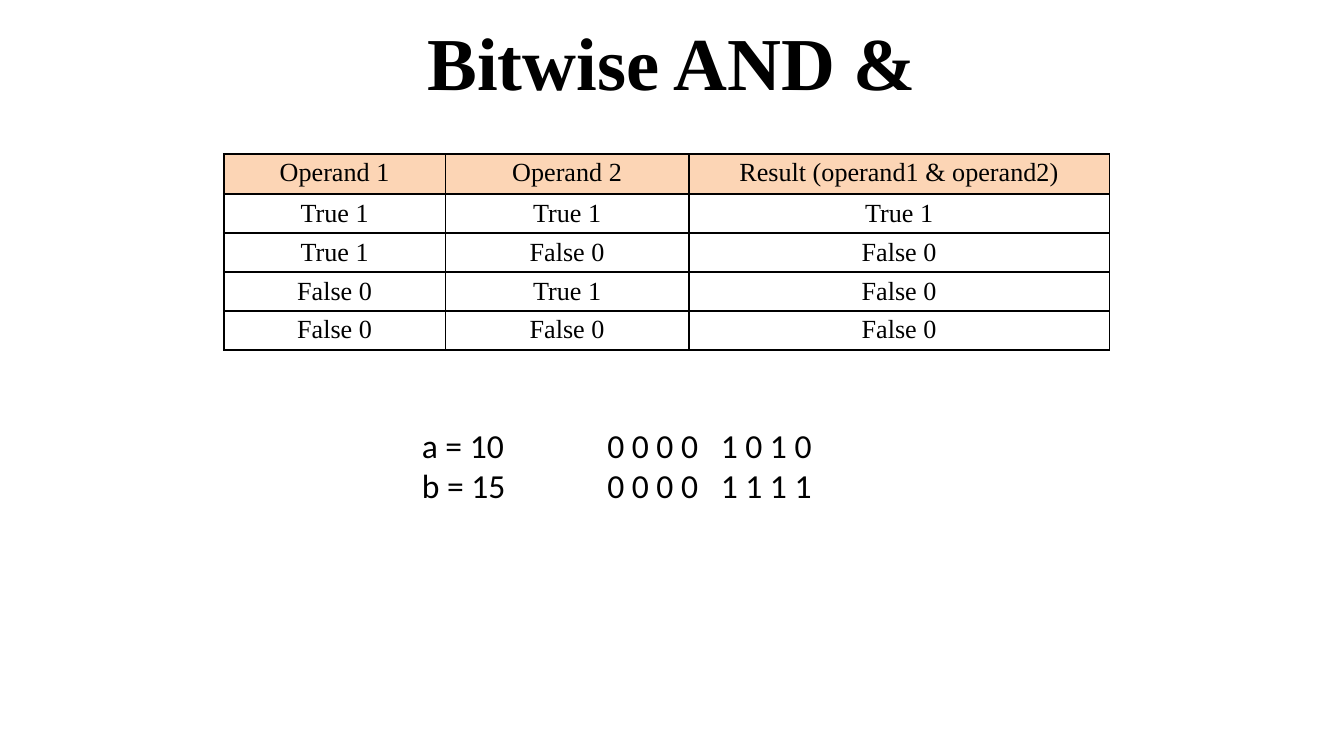
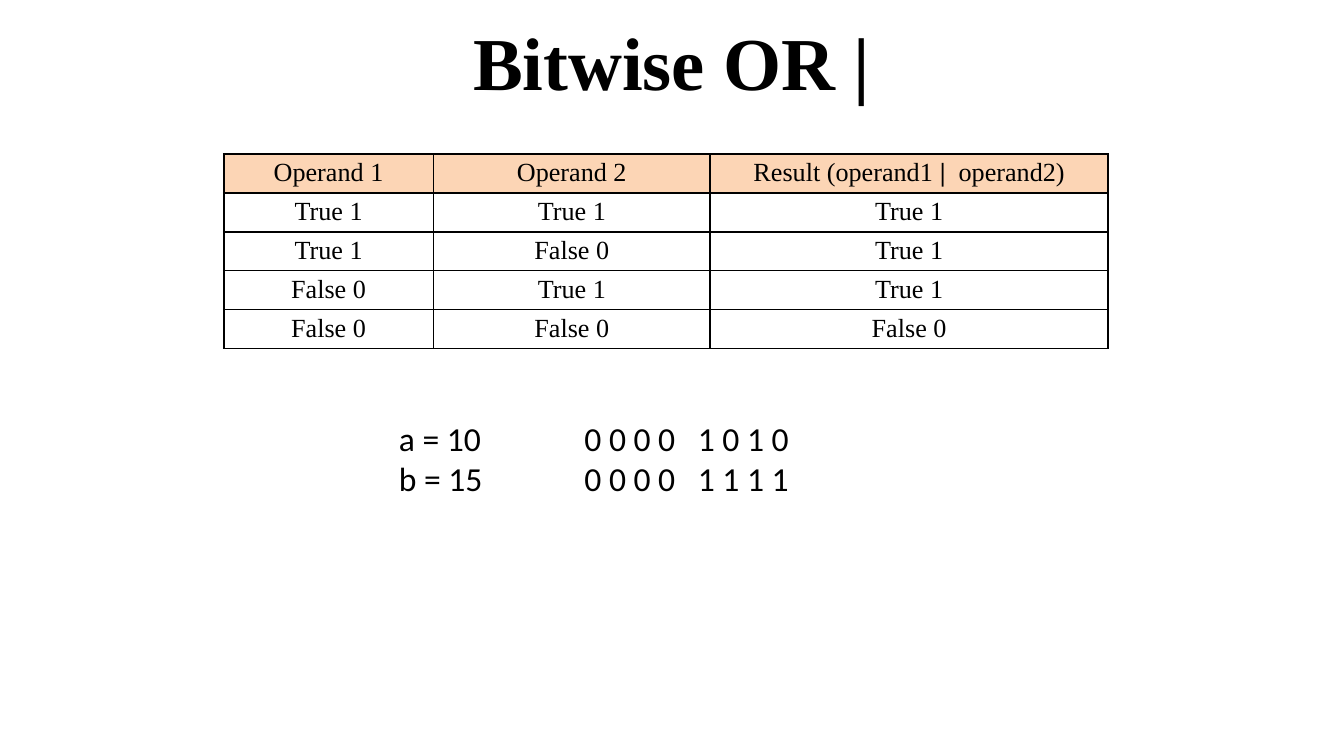
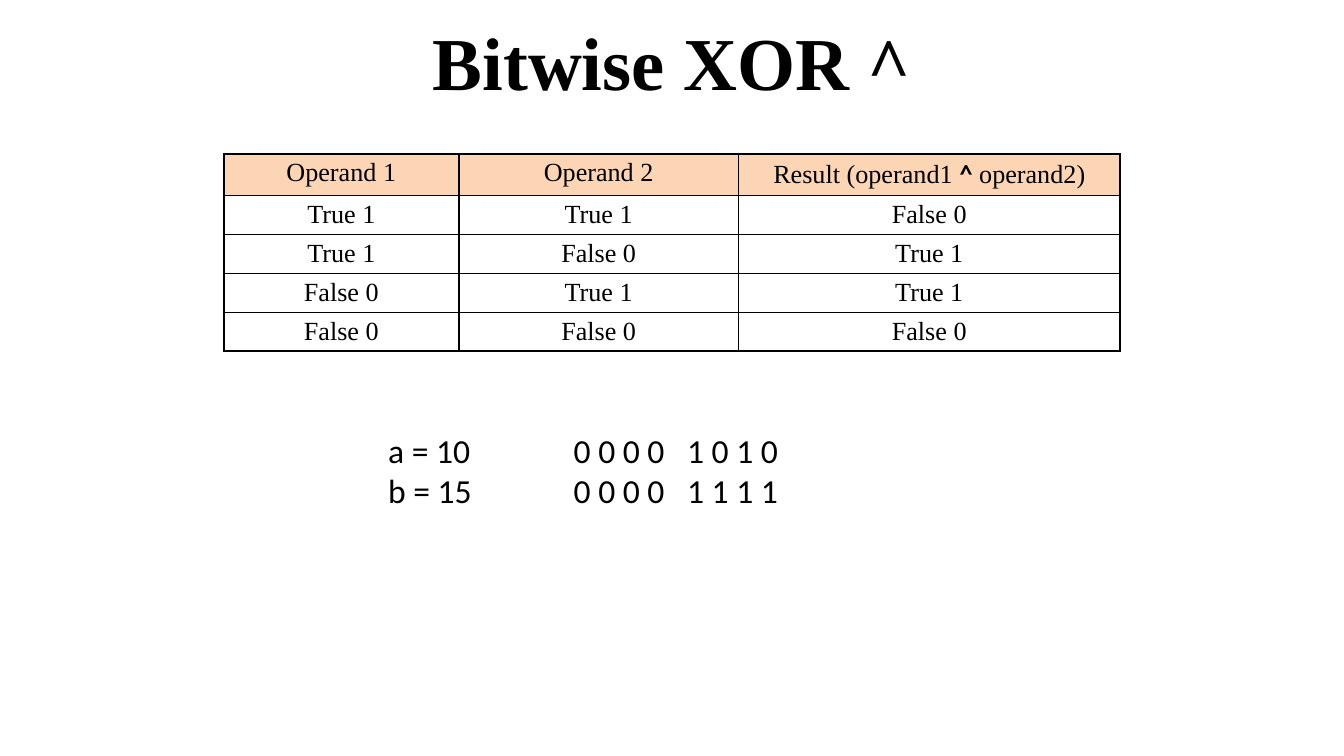
from dataclasses import dataclass
from itertools import product

from lxml import etree
from pptx import Presentation
from pptx.dml.color import RGBColor
from pptx.enum.text import MSO_ANCHOR, MSO_AUTO_SIZE, PP_ALIGN
from pptx.oxml.ns import qn
from pptx.util import Inches, Pt

CENTER = PP_ALIGN.CENTER
LEFT = PP_ALIGN.LEFT
MIDDLE = MSO_ANCHOR.MIDDLE
GROW = MSO_AUTO_SIZE.SHAPE_TO_FIT_TEXT
TITLE_ONLY = 5
GRID_COLUMNS = 100
SLIDE_WIDTH = Inches(10)
SLIDE_HEIGHT = SLIDE_WIDTH * 9 // 16


@dataclass(frozen=True)
class Theme:
    ink: str = "000000"
    paper: str = "FFFFFF"
    header: str = "FCD5B5"
    serif: str = "Times New Roman"
    sans: str = "Calibri"
    title_size: int = 40
    table_size: int = 14
    operand_size: int = 18
    border: int = 1
    cell_margin: float = 2.5


class Deck:
    def __init__(self, theme):
        self.theme = theme
        self.presentation = Presentation()
        self.presentation.slide_width = SLIDE_WIDTH
        self.presentation.slide_height = SLIDE_HEIGHT
        self.unit = SLIDE_WIDTH / GRID_COLUMNS
        self.slide = None

    def span(self, *cells):
        return [round(cell * self.unit) for cell in cells]

    def new_slide(self):
        layout = self.presentation.slide_layouts[TITLE_ONLY]
        self.slide = self.presentation.slides.add_slide(layout)
        fill = self.slide.background.fill
        fill.solid()
        fill.fore_color.rgb = RGBColor.from_string(self.theme.paper)

    def style(self, run, font, size, bold=False):
        run.font.name = font
        run.font.size = Pt(size)
        run.font.bold = bold
        run.font.color.rgb = RGBColor.from_string(self.theme.ink)

    def title(self, text):
        shape = self.slide.shapes.title
        shape.left, shape.top, shape.width, shape.height = self.span(5, -0.2, 90, 9.4)
        frame = shape.text_frame
        frame.text = text
        frame.vertical_anchor = MIDDLE
        paragraph = frame.paragraphs[0]
        paragraph.alignment = CENTER
        self.style(paragraph.runs[0], self.theme.serif, self.theme.title_size, True)

    def text(self, lines, left, top, width):
        shape = self.slide.shapes.add_textbox(*self.span(left, top, width, 7.1))
        frame = shape.text_frame
        frame.text = "\n".join(lines)
        frame.word_wrap = False
        frame.auto_size = GROW
        for paragraph in frame.paragraphs:
            paragraph.alignment = LEFT
            self.style(paragraph.runs[0], self.theme.sans, self.theme.operand_size)

    def border(self, cell):
        properties = cell._tc.get_or_add_tcPr()
        for side in ("lnL", "lnR", "lnT", "lnB"):
            line = etree.SubElement(properties, qn(f"a:{side}"), w=str(Pt(self.theme.border)))
            fill = etree.SubElement(line, qn("a:solidFill"))
            etree.SubElement(fill, qn("a:srgbClr"), val=self.theme.ink)

    def cell(self, cell, pieces, is_header):
        margin = Pt(self.theme.cell_margin)
        cell.margin_top = cell.margin_bottom = margin
        self.border(cell)
        if is_header:
            cell.fill.solid()
            cell.fill.fore_color.rgb = RGBColor.from_string(self.theme.header)
        else:
            cell.fill.background()
        paragraph = cell.text_frame.paragraphs[0]
        paragraph.alignment = CENTER
        for text, font, bold in pieces:
            run = paragraph.add_run()
            run.text = text
            self.style(run, font, self.theme.table_size, bold)

    def table(self, rows, columns, header_height, row_height=2.9):
        heights = [header_height] + [row_height] * (len(rows) - 1)
        bounds = self.span(16.65, 11.45, sum(columns), sum(heights))
        table = self.slide.shapes.add_table(len(rows), len(columns), *bounds).table
        table.first_row = table.horz_banding = False
        for column, width in zip(table.columns, self.span(*columns)):
            column.width = width
        for row, height in zip(table.rows, self.span(*heights)):
            row.height = height
        for row_index, row in enumerate(rows):
            for column_index, pieces in enumerate(row):
                self.cell(table.cell(row_index, column_index), pieces, row_index == 0)


THEME = Theme()
OPERANDS = ["a = 10", "b = 15"]
BITS = ["0 0 0 0   1 0 1 0", "0 0 0 0   1 1 1 1"]


def plain(text):
    return [(text, THEME.serif, False)]


def result_header(operator, font, ending):
    return plain("Result (operand1 ") + [(operator, font, True)] + plain(ending)


def truth_rows(operation, result_title):
    rows = [[plain("Operand 1"), plain("Operand 2"), result_title]]
    for first, second in product((1, 0), repeat=2):
        values = (first, second, operation(first, second))
        rows.append([plain(f"{bool(value)} {value}") for value in values])
    return rows


OPERATIONS = [
    ("Bitwise AND &", lambda a, b: a & b, plain("Result (operand1 & operand2)"),
     (16.5, 18.1, 31.3), 3, (30.4, 31.1)),
    ("Bitwise OR |", lambda a, b: a | b, result_header("|", THEME.serif, "  operand2)"),
     (15.6, 20.6, 29.6), 2.9, (28.7, 30.6)),
    ("Bitwise XOR ^", lambda a, b: a ^ b, result_header("^", THEME.sans, " operand2)"),
     (17.5, 20.8, 28.4), 3.1, (27.9, 31.5)),
]


def main():
    deck = Deck(THEME)
    for title, operation, result_title, columns, header_height, (left, top) in OPERATIONS:
        deck.new_slide()
        deck.title(title)
        deck.table(truth_rows(operation, result_title), columns, header_height)
        deck.text(OPERANDS, left, top, 8.5)
        deck.text(BITS, left + 13.8, top, 17.5)
    deck.presentation.save("out.pptx")


if __name__ == "__main__":
    main()
